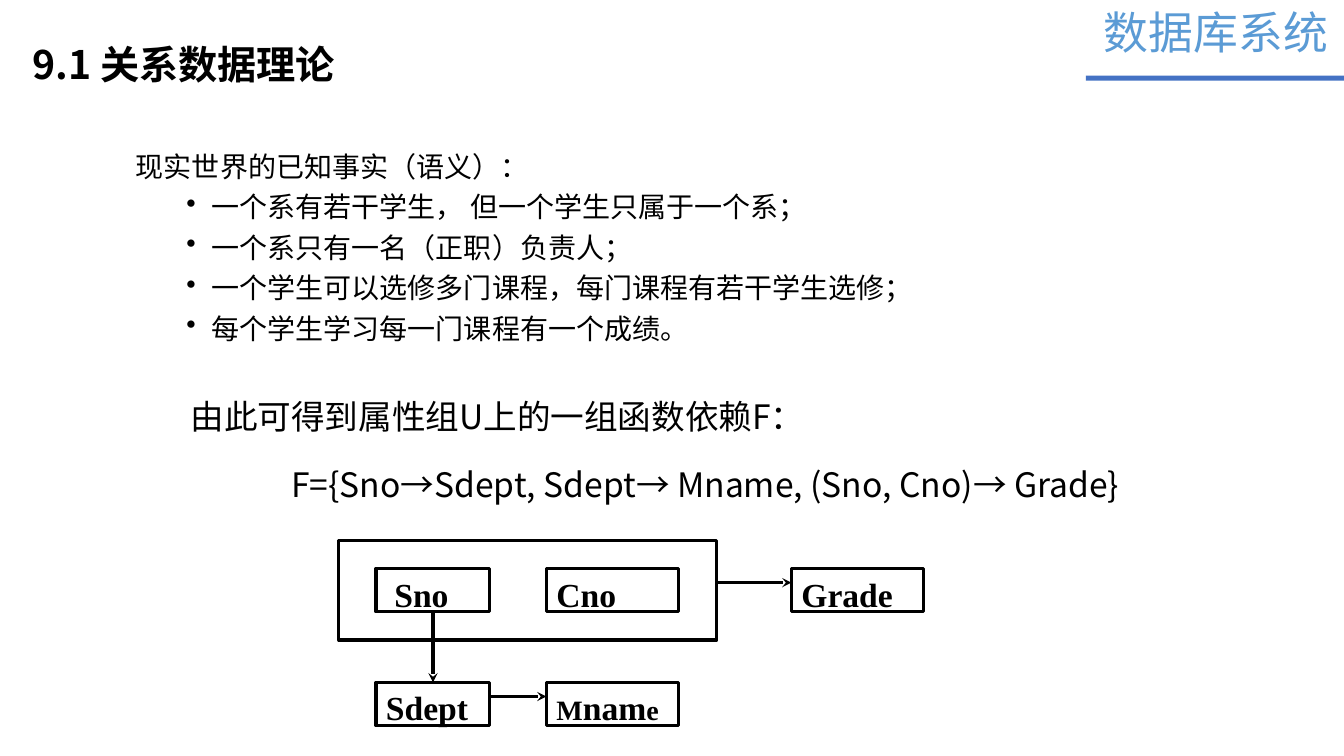
from dataclasses import dataclass

from pptx import Presentation
from pptx.dml.color import RGBColor
from pptx.enum.shapes import MSO_CONNECTOR, MSO_SHAPE
from pptx.enum.text import MSO_ANCHOR, PP_ALIGN
from pptx.oxml import parse_xml
from pptx.oxml.ns import nsdecls
from pptx.util import Inches, Pt

RECT = MSO_SHAPE.RECTANGLE
LINE = MSO_CONNECTOR.STRAIGHT
TOP = MSO_ANCHOR.TOP
LEFT, JUST = PP_ALIGN.LEFT, PP_ALIGN.JUSTIFY


@dataclass(frozen=True)
class Theme:
    """Colours, fonts and sizes of the slide."""
    ink: str = "000000"
    bar: str = "4472C4"
    brand: str = "5B9BD5"
    sans: str = "Noto Sans CJK SC"
    serif: str = "Times New Roman"
    small: int = 20
    mid: int = 24
    title: int = 28
    head: int = 32
    line: float = 2.25


THEME = Theme()


def write(para, text, size=THEME.small, font=THEME.sans, color=THEME.ink, bold=False,
          align=LEFT, space=None, before=0, left=0, hang=0, bullet=None):
    """Add one formatted run to a paragraph."""
    para.alignment = align
    para.line_spacing = space
    para.space_before = Pt(before)
    props = para._p.get_or_add_pPr()
    props.set("marL", str(Inches(left)))
    props.set("indent", str(Inches(-hang)))
    if bullet:
        props.append(parse_xml(f'<a:buChar {nsdecls("a")} char="{bullet}"/>'))
    run = para.add_run()
    run.text = text
    run.font.size = Pt(size)
    run.font.bold = bold
    run.font.color.rgb = RGBColor.from_string(color)
    run.font.name = font
    run.font._element.append(parse_xml(f'<a:ea {nsdecls("a")} typeface="{font}"/>'))


def area(slide, box):
    """Add a wrapping text box and return its frame."""
    frame = slide.shapes.add_textbox(*map(Inches, box)).text_frame
    frame.word_wrap = True
    return frame


def block(slide, x, y, w, h, fill=None):
    """Add a filled bar or an outlined rectangle."""
    shape = slide.shapes.add_shape(RECT, *map(Inches, (x, y, w, h)))
    shape.shadow.inherit = False
    if fill:
        shape.fill.solid()
        shape.fill.fore_color.rgb = RGBColor.from_string(fill)
        shape.line.fill.background()
    else:
        shape.fill.background()
        shape.line.color.rgb = RGBColor.from_string(THEME.ink)
        shape.line.width = Pt(THEME.line)
    return shape


def arrow(slide, *ends):
    """Add a line that ends in a stealth arrowhead."""
    link = slide.shapes.add_connector(LINE, *map(Inches, ends))
    link.line.color.rgb = RGBColor.from_string(THEME.ink)
    link.line.width = Pt(THEME.line)
    link.line._get_or_add_ln().append(
        parse_xml(f'<a:tailEnd {nsdecls("a")} type="stealth"/>'))
    link._element.spPr.append(parse_xml(f'<a:effectLst {nsdecls("a")}/>'))


def node(slide, x, y, w, h, parts):
    """Add a labelled attribute box from (text, size) parts."""
    frame = block(slide, x, y, w, h).text_frame
    frame.vertical_anchor = TOP
    for text, size in parts:
        write(frame.paragraphs[0], text, size=size, font=THEME.serif, bold=True, align=JUST)


def title(slide, x, y, w, h):
    """Place the section title."""
    shape = slide.shapes.title
    shape.left, shape.top, shape.width, shape.height = map(Inches, (x, y, w, h))
    shape.text_frame.vertical_anchor = TOP
    write(shape.text_frame.paragraphs[0], "9.1 关系数据理论", size=THEME.title,
          bold=True, space=1.5)


def banner(slide, x, y, w, h):
    """Place the course name over its bar."""
    write(area(slide, (x + 0.08, y, w - 0.11, h)).paragraphs[0], "数据库系统",
          size=THEME.head, color=THEME.brand)
    block(slide, x, y + 0.75, w, 0.05, fill=THEME.bar)


def facts(slide, *box):
    """List the known facts under their lead line."""
    frame = area(slide, box)
    write(frame.paragraphs[0], "现实世界的已知事实（语义）：", before=5, left=0.5)
    for text in (
        "一个系有若干学生， 但一个学生只属于一个系；",
        "一个系只有一名（正职）负责人；",
        "一个学生可以选修多门课程，每门课程有若干学生选修；",
        "每个学生学习每一门课程有一个成绩。",
    ):
        write(frame.add_paragraph(), text, before=5, left=1.25, hang=0.25, bullet="•")


def result(slide, *box):
    """State the set of dependencies."""
    frame = area(slide, box)
    look = dict(size=THEME.mid, space=1.5, before=5)
    write(frame.paragraphs[0], "由此可得到属性组U上的一组函数依赖F：", left=0.5, **look)
    write(frame.add_paragraph(), "F={Sno→Sdept, Sdept→ Mname, (Sno, Cno)→ Grade}",
          left=1.5, **look)


def graph(slide, x, y, w, h):
    """Draw the key group, the attributes and their arrows."""
    slim, wide, tall = 1.13, 1.31, 0.43
    one, two, three = x + 0.37, x + 2.06, x + 4.49
    high, low = y + 0.28, y + 1.41
    big, small = THEME.mid, THEME.small
    block(slide, x, y, w, h)
    for left, top, width, parts in (
        (one, high, slim, [(" Sno", big)]),
        (two, high, wide, [("Cno", big)]),
        (three, high, wide, [("Grade", big)]),
        (one, low, slim, [("Sdept", big)]),
        (two, low, wide, [("M", small), ("nam", big), ("e", small)]),
    ):
        node(slide, left, top, width, tall, parts)
    arrow(slide, one + slim / 2, high + tall, one + slim / 2, low)
    arrow(slide, one + slim, low + 0.14, two, low + 0.14)
    arrow(slide, x + w, high + 0.14, three, high + 0.14)


def main():
    """Build and save the slide."""
    deck = Presentation()
    deck.slide_width, deck.slide_height = Inches(13.33), Inches(7.5)
    slide = deck.slides.add_slide(deck.slide_layouts[5])
    title(slide, 0.22, 0.12, 3.6, 0.73)
    banner(slide, 10.77, 0, 2.56, 0.64)
    facts(slide, 0.75, 1.43, 9.73, 2.22)
    result(slide, 1.29, 3.68, 10.38, 1.36)
    graph(slide, 3.36, 5.36, 3.75, 0.99)
    deck.save("out.pptx")


if __name__ == "__main__":
    main()
